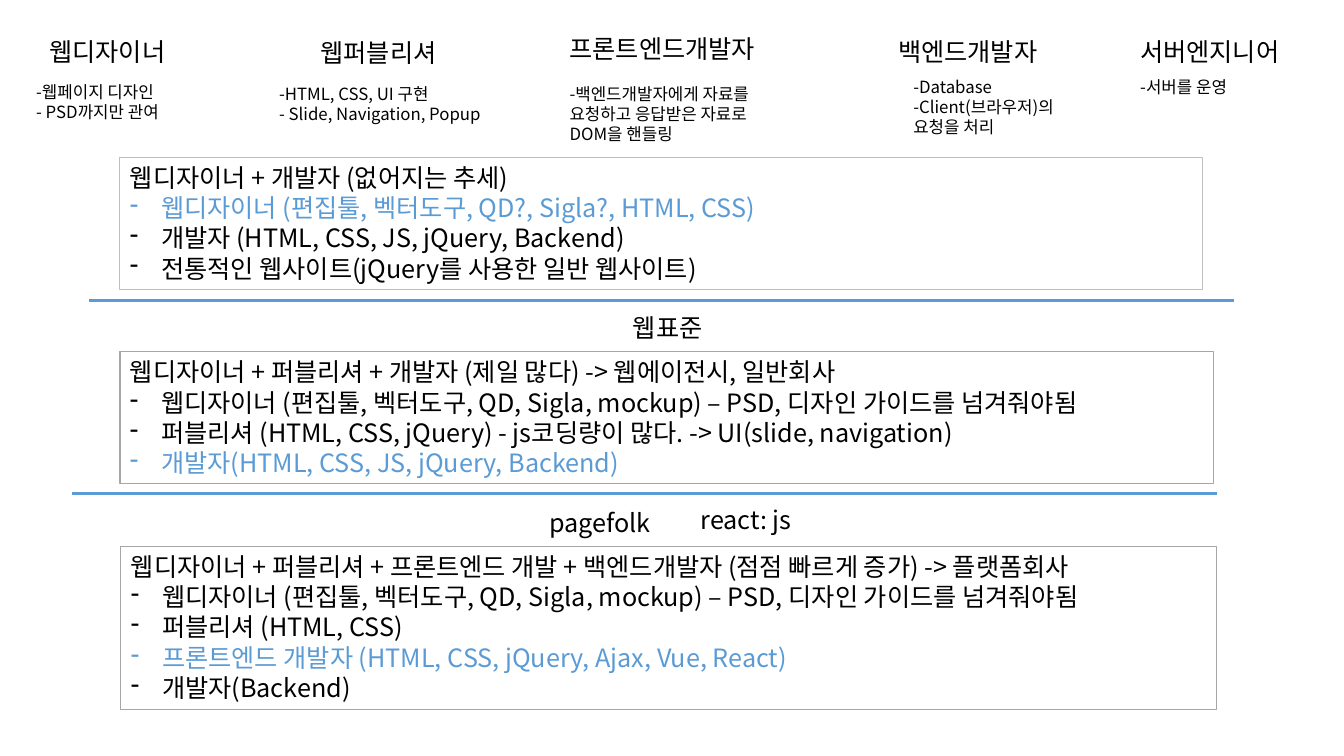
from dataclasses import dataclass

from lxml.etree import SubElement
from pptx import Presentation
from pptx.dml.color import RGBColor
from pptx.enum.shapes import MSO_CONNECTOR, MSO_SHAPE
from pptx.enum.text import MSO_ANCHOR, MSO_AUTO_SIZE, PP_ALIGN
from pptx.oxml.ns import qn
from pptx.util import Inches, Pt

FONT = "Noto Sans CJK KR"
BLACK = RGBColor(0x00, 0x00, 0x00)
BLUE = RGBColor(0x5B, 0x9B, 0xD5)
LIGHT_GRAY = RGBColor(0xBF, 0xBF, 0xBF)
GRAY = RGBColor(0xA6, 0xA6, 0xA6)
TITLE_SIZE = 18
NOTE_SIZE = 12
LINE_FACTOR = 1.2
BULLET_INDENT = Inches(0.31)


@dataclass
class Label:
    left: float
    top: float
    width: float
    height: float
    lines: list[str]
    size: int = TITLE_SIZE


@dataclass
class TeamBox:
    left: float
    top: float
    width: float
    height: float
    border: RGBColor
    heading: str
    members: list[str]
    highlight: int


@dataclass
class Divider:
    left: float
    right: float
    top: float


DESIGN_TOOLS = "웹디자이너 (편집툴, 벡터도구, QD, Sigla, mockup) – PSD, 디자인 가이드를 넘겨줘야됨"

LABELS = [
    Label(0.39, 0.31, 1.62, 0.4, ["웹디자이너"]),
    Label(3.08, 0.32, 1.62, 0.4, ["웹퍼블리셔"]),
    Label(5.55, 0.28, 2.21, 0.4, ["프론트엔드개발자"]),
    Label(8.81, 0.31, 2.21, 0.4, ["백엔드개발자"]),
    Label(11.21, 0.31, 2.21, 0.4, ["서버엔지니어"]),
    Label(8.96, 0.71, 1.69, 0.71, ["-Database", "-Client(브라우저)의 요청을 처리"], NOTE_SIZE),
    Label(11.21, 0.71, 1.69, 0.3, ["-서버를 운영"], NOTE_SIZE),
    Label(5.55, 0.78, 2.21, 0.71,
          ["-백엔드개발자에게 자료를 요청하고 응답받은 자료로 DOM을 핸들링"], NOTE_SIZE),
    Label(2.67, 0.78, 2.21, 0.5,
          ["-HTML, CSS, UI 구현", "- Slide, Navigation, Popup"], NOTE_SIZE),
    Label(0.26, 0.76, 2.21, 0.5, ["-웹페이지 디자인", "- PSD까지만 관여"], NOTE_SIZE),
    Label(6.18, 3.05, 1.1, 0.4, ["웹표준"]),
    Label(5.35, 4.98, 1.31, 0.87, ["pagefolk"]),
    Label(6.85, 4.95, 1.82, 0.88, ["react: js"]),
]

TEAM_BOXES = [
    TeamBox(1.19, 1.56, 10.74, 1.31, LIGHT_GRAY, "웹디자이너 + 개발자 (없어지는 추세)", [
        "웹디자이너 (편집툴, 벡터도구, QD?, Sigla?, HTML, CSS)",
        "개발자 (HTML, CSS, JS, jQuery, Backend)",
        "전통적인 웹사이트(jQuery를 사용한 일반 웹사이트)",
    ], 0),
    TeamBox(1.19, 3.49, 10.85, 1.31, GRAY,
            "웹디자이너 + 퍼블리셔 + 개발자 (제일 많다) -> 웹에이전시, 일반회사", [
        DESIGN_TOOLS,
        "퍼블리셔 (HTML, CSS, jQuery) - js코딩량이 많다. -> UI(slide, navigation)",
        "개발자(HTML, CSS, JS, jQuery, Backend)",
    ], 2),
    TeamBox(1.2, 5.42, 10.87, 1.62, GRAY,
            "웹디자이너 + 퍼블리셔 + 프론트엔드 개발 + 백엔드개발자 (점점 빠르게 증가) -> 플랫폼회사", [
        DESIGN_TOOLS,
        "퍼블리셔 (HTML, CSS)",
        "프론트엔드 개발자 (HTML, CSS, jQuery, Ajax, Vue, React)",
        "개발자(Backend)",
    ], 2),
]

DIVIDERS = [Divider(0.88, 12.24, 2.98), Divider(0.71, 12.07, 4.9)]


def write_lines(frame, lines: list[str], size: int) -> None:
    frame.word_wrap = True
    frame.auto_size = MSO_AUTO_SIZE.SHAPE_TO_FIT_TEXT
    frame.vertical_anchor = MSO_ANCHOR.TOP
    frame.text = "\n".join(lines)
    for para in frame.paragraphs:
        para.alignment = PP_ALIGN.LEFT
        para.line_spacing = Pt(size * LINE_FACTOR)
        for span in para.runs:
            span.font.size = Pt(size)
            span.font.name = FONT
            span.font.color.rgb = BLACK
            SubElement(span.font._element, qn("a:ea"), typeface=FONT)


def add_dash(para) -> None:
    properties = para._p.get_or_add_pPr()
    properties.set("marL", str(BULLET_INDENT))
    properties.set("indent", str(-BULLET_INDENT))
    SubElement(properties, qn("a:buFontTx"))
    SubElement(properties, qn("a:buChar"), char="-")


def draw_label(page, label: Label) -> None:
    box = page.shapes.add_textbox(
        Inches(label.left), Inches(label.top), Inches(label.width), Inches(label.height))
    write_lines(box.text_frame, label.lines, label.size)


def draw_team_box(page, team: TeamBox) -> None:
    box = page.shapes.add_shape(
        MSO_SHAPE.RECTANGLE,
        Inches(team.left), Inches(team.top), Inches(team.width), Inches(team.height))
    box.shadow.inherit = False
    box.fill.background()
    box.line.color.rgb = team.border
    box.line.width = Pt(0.75)
    write_lines(box.text_frame, [team.heading, *team.members], TITLE_SIZE)
    members = box.text_frame.paragraphs[1:]
    for para in members:
        add_dash(para)
    for span in members[team.highlight].runs:
        span.font.color.rgb = BLUE


def draw_divider(page, divider: Divider) -> None:
    line = page.shapes.add_connector(
        MSO_CONNECTOR.STRAIGHT,
        Inches(divider.left), Inches(divider.top), Inches(divider.right), Inches(divider.top))
    line.line.color.rgb = BLUE
    line.line.width = Pt(2.25)
    SubElement(line._element.spPr, qn("a:effectLst"))


deck = Presentation()
deck.slide_width = Inches(13.33)
deck.slide_height = Inches(7.5)
page = deck.slides.add_slide(deck.slide_layouts[6])

for label in LABELS:
    draw_label(page, label)
for team in TEAM_BOXES:
    draw_team_box(page, team)
for divider in DIVIDERS:
    draw_divider(page, divider)

deck.save("out.pptx")
